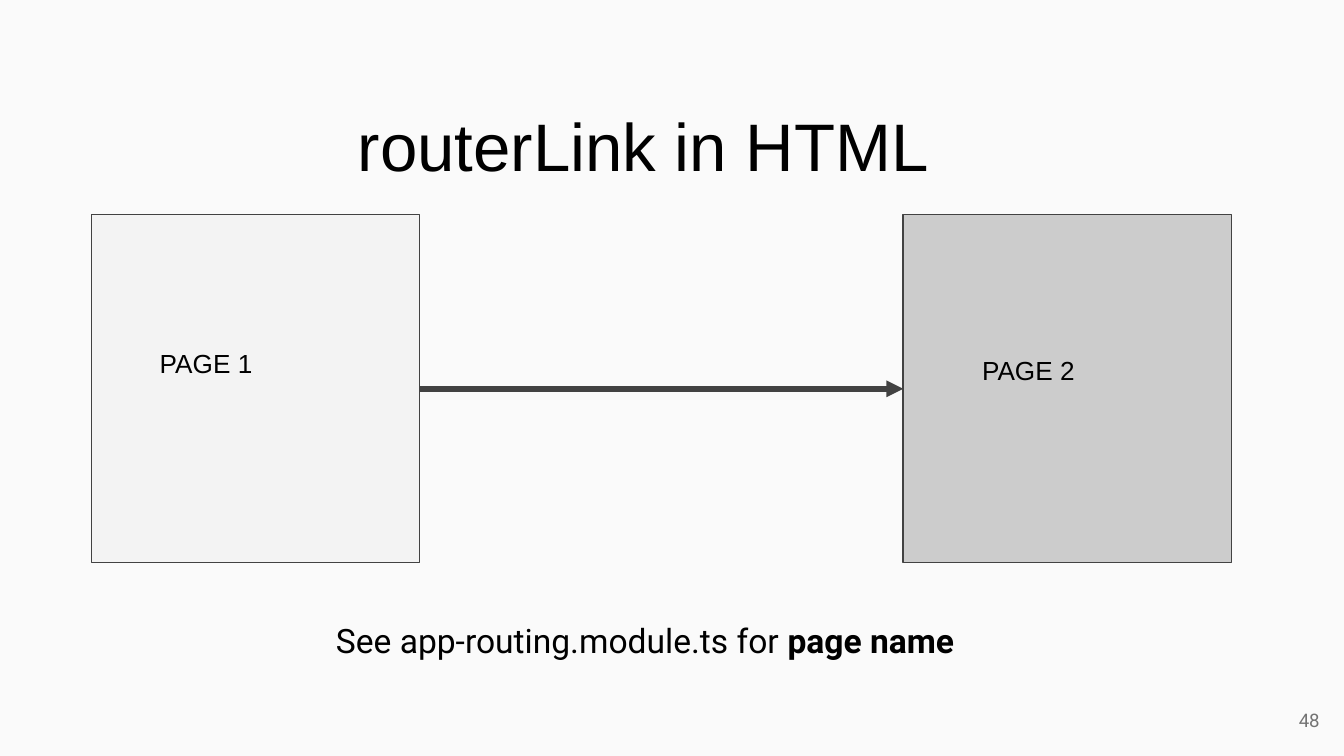
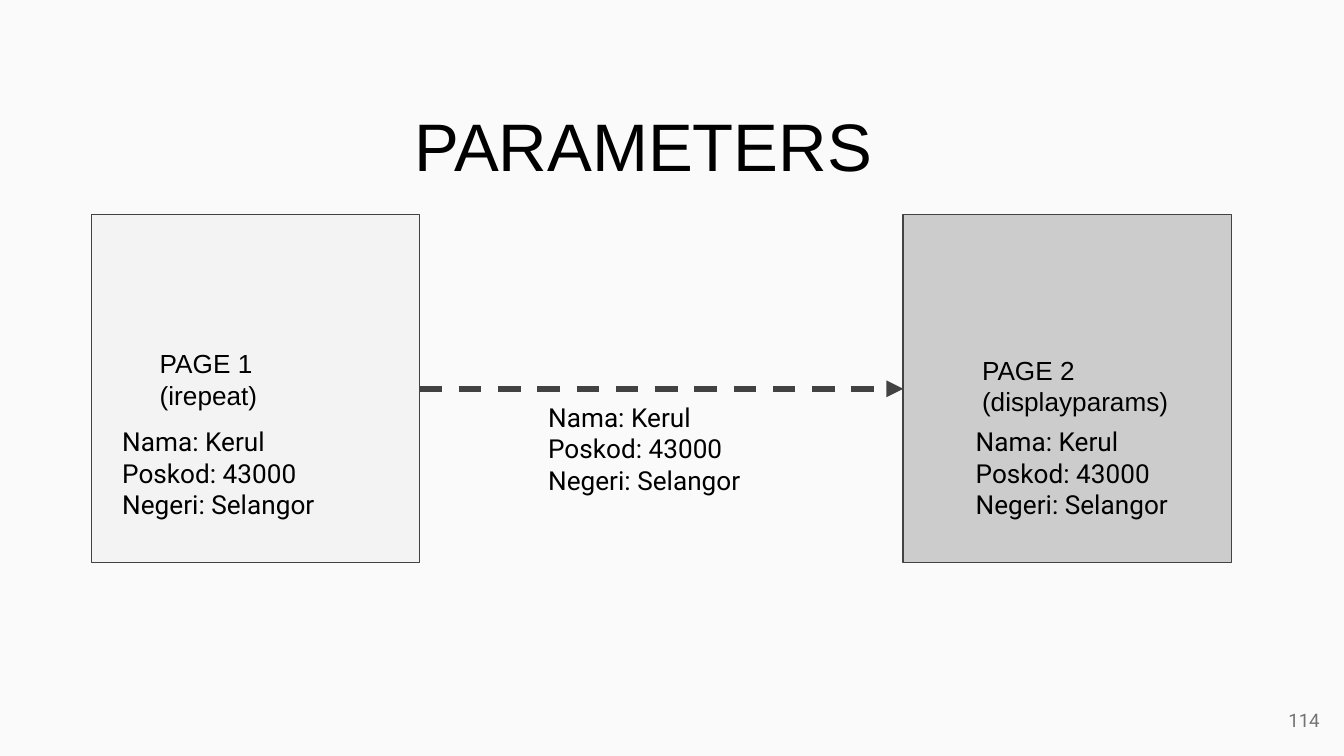
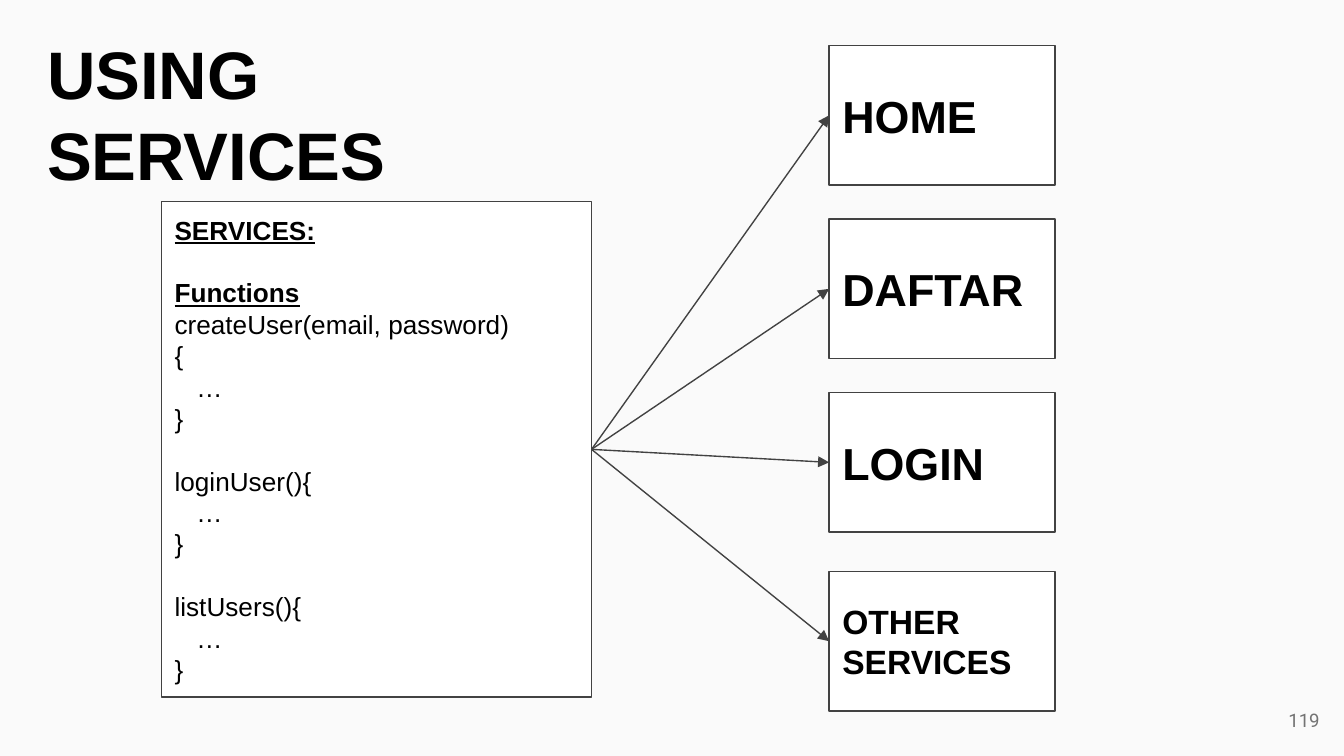
from lxml.etree import SubElement
from pptx import Presentation
from pptx.dml.color import RGBColor
from pptx.enum.dml import MSO_LINE
from pptx.enum.shapes import MSO_CONNECTOR, MSO_SHAPE
from pptx.enum.text import MSO_ANCHOR, PP_ALIGN
from pptx.oxml.ns import qn
from pptx.util import Cm, Pt

COLORS = {
    "background": "FAFAFA",
    "white": "FFFFFF",
    "light": "F3F3F3",
    "mid": "CCCCCC",
    "line": "424242",
    "text": "000000",
    "number": "737373",
}
RIGHT_SIDE, LEFT_SIDE = 3, 1


def add_block(s, at, lines=(), size=14, font="Arial", bold=False, color="text",
              align=PP_ALIGN.LEFT, anchor=MSO_ANCHOR.TOP, fill=None):
    """Add a text box, or an outlined rectangle when a fill is given."""
    at = [Cm(v) for v in at]
    if fill:
        sp = s.shapes.add_shape(MSO_SHAPE.RECTANGLE, *at)
        sp.shadow.inherit = False
        sp.fill.solid()
        sp.fill.fore_color.rgb = RGBColor.from_string(COLORS[fill])
        sp.line.color.rgb = RGBColor.from_string(COLORS["line"])
        sp.line.width = Pt(0.75)
    else:
        sp = s.shapes.add_textbox(*at)
    tf = sp.text_frame
    tf.word_wrap = True
    tf.vertical_anchor = anchor
    tf.margin_left = tf.margin_right = tf.margin_top = tf.margin_bottom = Cm(0.25)
    tf.text = "\n".join(lines)
    for p in tf.paragraphs:
        p.alignment = align
        for r in p.runs:
            r.font.name = font
            r.font.size = Pt(size)
            r.font.bold = bold
            r.font.color.rgb = RGBColor.from_string(COLORS[color])
    return sp


def add_arrow(s, source, target, width, dash=None):
    """Join the right side of source to the left side of target."""
    cn = s.shapes.add_connector(MSO_CONNECTOR.STRAIGHT, 0, 0, 0, 0)
    cn.begin_connect(source, RIGHT_SIDE)
    cn.end_connect(target, LEFT_SIDE)
    cn.line.color.rgb = RGBColor.from_string(COLORS["line"])
    cn.line.width = Pt(width)
    if dash:
        cn.line.dash_style = dash
    SubElement(cn.line._get_or_add_ln(), qn("a:tailEnd"), type="triangle")
    SubElement(cn._element.spPr, qn("a:effectLst"))


prs = Presentation()
prs.slide_width, prs.slide_height = Cm(25.4), Cm(14.29)
background = prs.slide_master.background.fill
background.solid()
background.fore_color.rgb = RGBColor.from_string(COLORS["background"])

# Every slide with its page number
slides = []
for number in (48, 114, 119):
    s = prs.slides.add_slide(prs.slide_layouts[6])
    add_block(s, (23.67, 13.06, 1.52, 1.09), [str(number)], 10, "Roboto",
              color="number", align=PP_ALIGN.RIGHT, anchor=MSO_ANCHOR.MIDDLE)
    slides.append(s)
link_slide, parameter_slide, service_slide = slides

# Two pages joined by an arrow
page_flows = [
    (link_slide, "routerLink in HTML", ["PAGE 1"], ["PAGE 2"], None),
    (parameter_slide, "PARAMETERS", ["PAGE 1", "(irepeat)"],
     ["PAGE 2", "(displayparams)"], MSO_LINE.DASH),
]
for s, title, first_label, second_label, dash in page_flows:
    first = add_block(s, (1.73, 4.06, 6.2, 6.58), fill="light")
    second = add_block(s, (17.07, 4.06, 6.2, 6.58), fill="mid")
    add_arrow(s, first, second, 3, dash)
    add_block(s, (2.77, 6.32, 4.09, 1.8), first_label)
    add_block(s, (18.31, 6.45, 4.09, 1.8), second_label)
    add_block(s, (4.39, 1.73, 15.54, 2.34), [title], 36, align=PP_ALIGN.CENTER)

caption = add_block(link_slide, (6.1, 11.46, 14.81, 1.73),
                    ["See app-routing.module.ts for "], 18, "Roboto")
r = caption.text_frame.paragraphs[0].add_run()
r.text = "page name"
r.font.name, r.font.size, r.font.bold = "Roboto", Pt(18), True
r.font.color.rgb = RGBColor.from_string(COLORS["text"])

parameters = ["Nama: Kerul", "Poskod: 43000", "Negeri: Selangor"]
for left, top in [(2.06, 7.8), (10.11, 7.34), (18.19, 7.8)]:
    add_block(parameter_slide, (left, top, 4.78, 0.76), parameters, 14, "Roboto")

# One service used by four pages
s = service_slide
code = ["SERVICES:", "Functions", "createUser(email, password)", "{", "   …", "}",
        "loginUser(){", "   …", "}", "listUsers(){", "   …", "}"]
headings = ("SERVICES:", "Functions")
section_starts = ("Functions", "loginUser(){", "listUsers(){")
services = add_block(s, (3.05, 3.81, 8.13, 9.37), code,
                     anchor=MSO_ANCHOR.MIDDLE, fill="white")
for p in services.text_frame.paragraphs:
    if p.text in section_starts:
        p.space_before = Pt(16.8)
    if p.text in headings:
        p.runs[0].font.bold = p.runs[0].font.underline = True

users = [("HOME", 0.86, 24), ("DAFTAR", 4.14, 24), ("LOGIN", 7.42, 24),
         ("OTHER SERVICES", 10.8, 18)]
for name, top, size in users:
    user = add_block(s, (15.67, top, 4.27, 2.64), [name], size, bold=True,
                     anchor=MSO_ANCHOR.MIDDLE, fill="white")
    add_arrow(s, services, user, 0.75)
add_block(s, (0.64, 0.36, 10.52, 3.78), ["USING SERVICES"], 36, bold=True)

prs.save("out.pptx")
